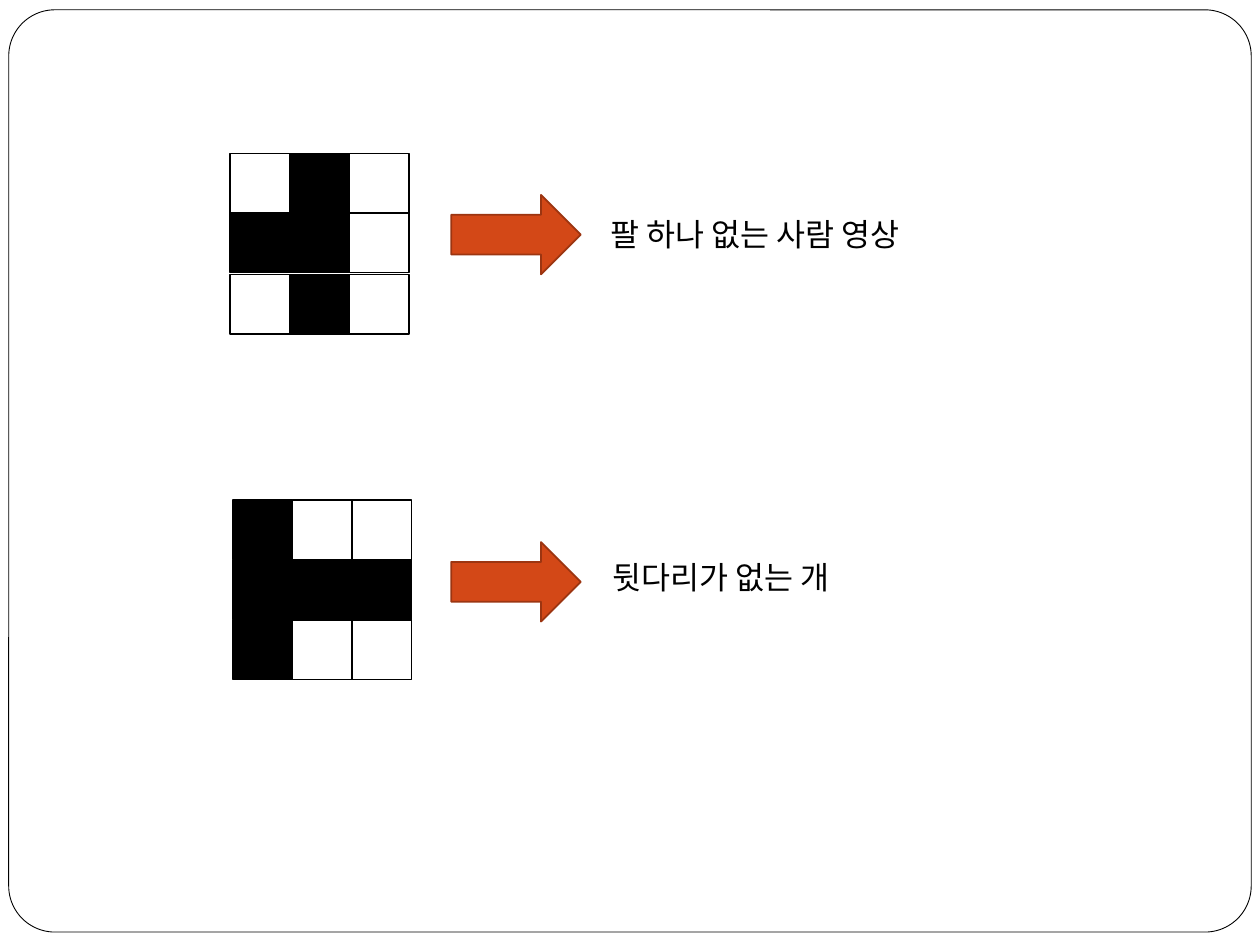
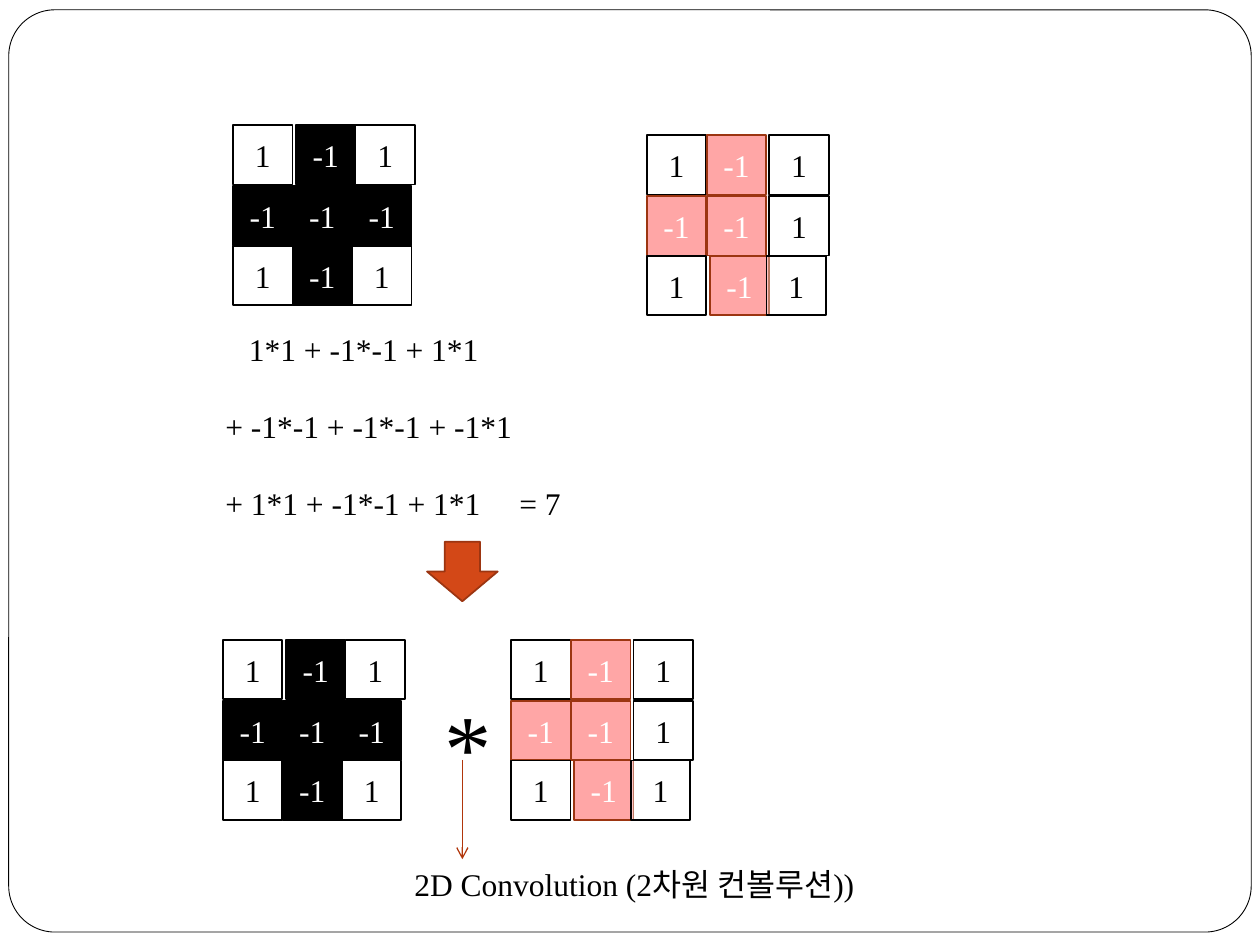
from pptx import Presentation
from pptx.dml.color import RGBColor
from pptx.enum.shapes import MSO_CONNECTOR, MSO_SHAPE
from pptx.enum.text import MSO_ANCHOR, PP_ALIGN
from pptx.oxml.ns import qn
from pptx.util import Pt
from lxml.etree import SubElement

BLACK = RGBColor(0x00, 0x00, 0x00)
WHITE = RGBColor(0xFF, 0xFF, 0xFF)
RED = RGBColor(0xFF, 0x00, 0x00)
ORANGE = RGBColor(0xD3, 0x48, 0x17)
RUST = RGBColor(0x9C, 0x35, 0x11)
LINK = RGBColor(0xB1, 0x36, 0x0B)
FONT = "Times New Roman"
CELL = 34

# Dark cells are -1, light cells are 1.
PERSON = [(1, -1, 1), (-1, -1, 1), (1, -1, 1)]
DOG = [(-1, 1, 1), (-1, -1, -1), (-1, 1, 1)]
CROSS = [(1, -1, 1), (-1, -1, -1), (1, -1, 1)]

# Left edges of the cells in each row, and top edges of the rows.
EVEN = [(0, 34, 68)] * 3
CROSS_LEFTS = [(0, 36, 70), (0, 34, 68), (0, 34, 68)]
PERSON_LEFTS = [(0, 34.3, 70), (0, 34.3, 70), (0, 36, 68.4)]
TOPS = (0, 34.8, 69)

SOLID = {"dark": BLACK, "dark_line": BLACK, "alpha": None}
CLEAR = {"dark": RED, "dark_line": RUST, "alpha": 35}

EXAMPLES = [
    {"values": PERSON, "grid": (131.6, 87.8), "tops": (0, 34, 69),
     "arrow": (257.8, 111.4), "label": "팔 하나 없는 사람 영상", "text": (342, 119.5)},
    {"values": DOG, "grid": (133.2, 285.7), "tops": (0, 34.4, 68.6),
     "arrow": (257.8, 309.8), "label": "뒷다리가 없는 개", "text": (343, 315.5)},
]
KERNELS = [
    (CROSS, CROSS_LEFTS, SOLID, (133.2, 71.5)),
    (PERSON, PERSON_LEFTS, CLEAR, (369.6, 77.2)),
    (CROSS, CROSS_LEFTS, SOLID, (127.4, 365.6)),
    (PERSON, PERSON_LEFTS, CLEAR, (292, 365.6)),
]
SUM_LINES = [
    "1*1 + -1*-1 + 1*1",
    "+ -1*-1 + -1*-1 + -1*1",
    "+ 1*1 + -1*-1 + 1*1\t= 7",
]
CAPTION = "2D Convolution (2차원 컨볼루션))"


def style(target, **values):
    for name, value in values.items():
        setattr(target, name, value)


def add_block(shapes, kind, place, fill, line, width=1):
    block = shapes.add_shape(kind, *map(Pt, place))
    block.shadow.inherit = False
    block.fill.solid()
    block.fill.fore_color.rgb = fill
    block.line.color.rgb = line
    block.line.width = Pt(width)
    return block


def write(paragraph, text, color=BLACK, size=18):
    span = paragraph.add_run()
    span.text = text
    style(span.font, name=FONT, size=Pt(size))
    span.font.color.rgb = color


def add_text(page, lines, place, size=18, gap=0):
    frame = page.shapes.add_textbox(*map(Pt, place)).text_frame
    frame.word_wrap = True
    for number, line in enumerate(lines):
        paragraph = frame.paragraphs[0] if number == 0 else frame.add_paragraph()
        if number:
            paragraph.space_before = Pt(gap)
        write(paragraph, line, size=size)
    return frame


def add_grid(shapes, values, lefts, tops, corner, look, numbered=False):
    """Draw a 3 by 3 kernel, with its values shown if numbered."""
    for row, row_lefts, top in zip(values, lefts, tops):
        for value, left in zip(row, row_lefts):
            dark = value < 0
            place = (corner[0] + left, corner[1] + top, CELL, CELL)
            cell = add_block(shapes, MSO_SHAPE.RECTANGLE, place,
                             look["dark"] if dark else WHITE,
                             look["dark_line"] if dark else BLACK)
            if look["alpha"]:
                color = cell.element.spPr.find(qn("a:solidFill"))[0]
                SubElement(color, qn("a:alpha"), val=str(look["alpha"] * 1000))
            if numbered:
                frame = cell.text_frame
                frame.vertical_anchor = MSO_ANCHOR.MIDDLE
                frame.paragraphs[0].alignment = PP_ALIGN.CENTER
                write(frame.paragraphs[0], str(value), WHITE if dark else BLACK)


def add_master_frame(deck, page):
    """Draw the rounded frame on a page, then move it to the master."""
    frame = add_block(page.shapes, MSO_SHAPE.ROUNDED_RECTANGLE,
                      (5, 5.6, 710, 527), WHITE, BLACK, 0.5)
    frame.adjustments[0] = 0.05
    frame.element.xpath(".//p:cNvPr")[0].set("id", "100")
    deck.slide_master.shapes.element.insert(2, frame.element)


def add_pointer(page, start, end):
    pointer = page.shapes.add_connector(MSO_CONNECTOR.STRAIGHT, *map(Pt, start + end))
    pointer.line.color.rgb = LINK
    pointer.line.width = Pt(0.75)
    properties = pointer.element.spPr
    SubElement(properties.find(qn("a:ln")), qn("a:tailEnd"), type="arrow")
    SubElement(properties, qn("a:effectLst"))


def build_examples(page):
    for example in EXAMPLES:
        add_grid(page.shapes, example["values"], EVEN, example["tops"],
                 example["grid"], SOLID)
        add_block(page.shapes, MSO_SHAPE.RIGHT_ARROW,
                  (*example["arrow"], 74, 45.4), ORANGE, RUST)
        add_text(page, [example["label"]], (*example["text"], 204, 29))


def build_convolution(page):
    for values, lefts, look, corner in KERNELS:
        shapes = page.shapes if look is SOLID else page.shapes.add_group_shape().shapes
        add_grid(shapes, values, lefts, TOPS, corner, look, numbered=True)

    sums = add_text(page, SUM_LINES, (121.7, 185, 244, 117), gap=22.4)
    first, last = sums.paragraphs[0], sums.paragraphs[-1]
    first.element_properties = first._p.get_or_add_pPr()
    first.element_properties.set("marL", str(Pt(13.5)))
    tabs = SubElement(last._p.get_or_add_pPr(), qn("a:tabLst"))
    SubElement(tabs, qn("a:tab"), pos=str(Pt(168)), algn="l")

    add_text(page, ["*"], (247, 388.8, 37.4, 72.7), size=54)
    add_block(page.shapes, MSO_SHAPE.DOWN_ARROW, (244, 309.6, 40.4, 34), ORANGE, RUST)
    add_text(page, [CAPTION], (229.7, 491, 298, 29))
    add_pointer(page, (264.2, 434.2), (264.2, 491))


def main():
    deck = Presentation()
    style(deck, slide_width=Pt(720), slide_height=Pt(540))
    blank = deck.slide_layouts[6]
    pages = [deck.slides.add_slide(blank) for _ in range(2)]
    add_master_frame(deck, pages[0])
    build_examples(pages[0])
    build_convolution(pages[1])
    deck.save("out.pptx")


if __name__ == "__main__":
    main()
